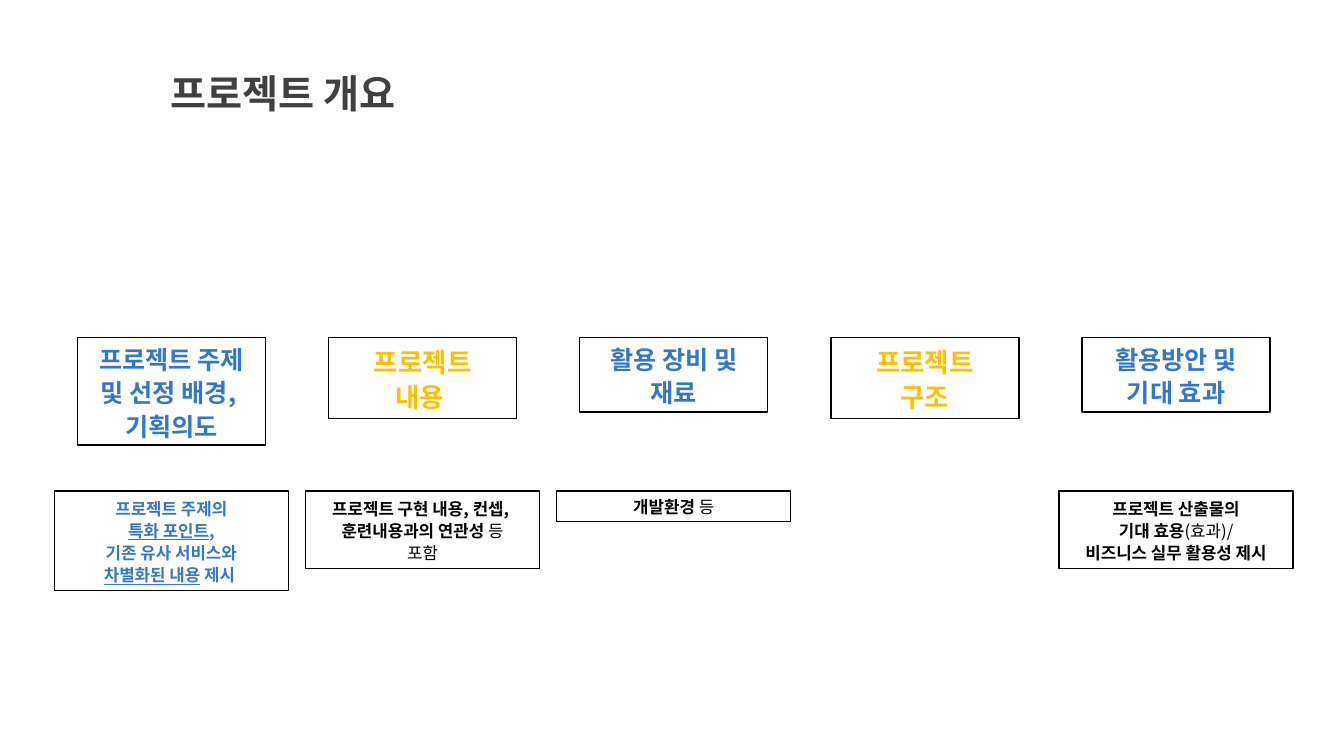
from dataclasses import dataclass

from lxml.etree import SubElement
from pptx import Presentation
from pptx.dml.color import RGBColor as Rgb
from pptx.enum.shapes import MSO_SHAPE as Shape
from pptx.enum.text import MSO_ANCHOR as Anchor, MSO_AUTO_SIZE as Auto, PP_ALIGN as Align
from pptx.oxml.ns import qn
from pptx.util import Cm, Pt


@dataclass(frozen=True)
class Theme:
    font: str = "Noto Sans CJK KR"
    gray: str = "404040"
    blue: str = "3378C8"
    gold: str = "FFC000"
    black: str = "000000"
    white: str = "FFFFFF"
    title: int = 28
    large: int = 19
    head: int = 18
    note: int = 12


THEME = Theme()
PITCH = 6.33
TOPICS = [
    ("프로젝트 주제 및 선정 배경, \n기획의도", THEME.blue, THEME.head, 2.72,
     [("프로젝트 주제의\n", "b"), ("특화 포인트", "bu"), (",\n기존 유사 서비스와\n", "b"),
      ("차별화된 내용", "bu"), (" 제시 ", "b")], THEME.blue, 2.51),
    ("프로젝트\n내용 ", THEME.gold, THEME.large, 2.04,
     [("프로젝트 구현 내용, 컨셉, \n훈련내용과의 연관성", "b"), (" 등\n포함", "")],
     THEME.black, 1.96),
    ("활용 장비 및\n재료", THEME.blue, THEME.head, 1.88,
     [("개발환경", "b"), (" 등", "")], THEME.black, 0.77),
    ("프로젝트\n구조", THEME.gold, THEME.large, 2.04, [], THEME.black, 0),
    ("활용방안 및\n기대 효과", THEME.blue, THEME.head, 1.88,
     [("프로젝트 산출물의\n기대 효용", "b"), ("(효과)/\n", ""),
      ("비즈니스 실무 활용성 제시", "b")], THEME.black, 1.96),
]


def write(shape, runs, size, color, align=Align.LEFT, space=None, anchor=Anchor.TOP):
    frame = shape.text_frame
    frame.word_wrap = True
    frame.auto_size = Auto.SHAPE_TO_FIT_TEXT
    frame.vertical_anchor = anchor
    para = frame.paragraphs[0]
    para.alignment = align
    para.line_spacing = space
    for text, style in runs:
        for i, line in enumerate(text.split("\n")):
            if i:
                para.add_line_break()
            if not line:
                continue
            run = para.add_run()
            run.text = line
            font = run.font
            font.name = THEME.font
            font.size = Pt(size)
            font.bold = "b" in style
            font.underline = "u" in style
            font.color.rgb = Rgb.from_string(color)
            SubElement(font._element, qn("a:ea"), typeface=THEME.font)


def title(slide, left, top, width, height):
    box = slide.shapes.add_textbox(Cm(left), Cm(top), Cm(width), Cm(height))
    write(box, [("프로젝트 개요", "b")], THEME.title, THEME.gray)


def card(slide, left, top, width, height, runs, size, color):
    box = slide.shapes.add_shape(
        Shape.RECTANGLE, Cm(left), Cm(top), Cm(width), Cm(height))
    box.shadow.inherit = False
    box.fill.solid()
    box.fill.fore_color.rgb = Rgb.from_string(THEME.white)
    box.line.color.rgb = Rgb.from_string(THEME.black)
    box.line.width = Pt(1)
    write(box, runs, size, color, align=Align.CENTER, space=1.1, anchor=Anchor.MIDDLE)


def column(slide, left, top, width, topic):
    head, color, size, tall, note, ink, deep = topic
    inset = 0.58
    card(slide, left + inset, top, width - 2 * inset, tall, [(head, "b")], size, color)
    if note:
        card(slide, left, top + 3.87, width, deep, note, THEME.note, ink)


def main():
    deck = Presentation()
    deck.slide_width, deck.slide_height = Cm(33.87), Cm(19.05)
    slide = deck.slides.add_slide(deck.slide_layouts[6])
    title(slide, 4.06, 1.63, 13.51, 1.45)
    for i, topic in enumerate(TOPICS):
        column(slide, 1.37 + i * PITCH, 8.5, 5.9, topic)
    deck.save("out.pptx")


if __name__ == "__main__":
    main()
